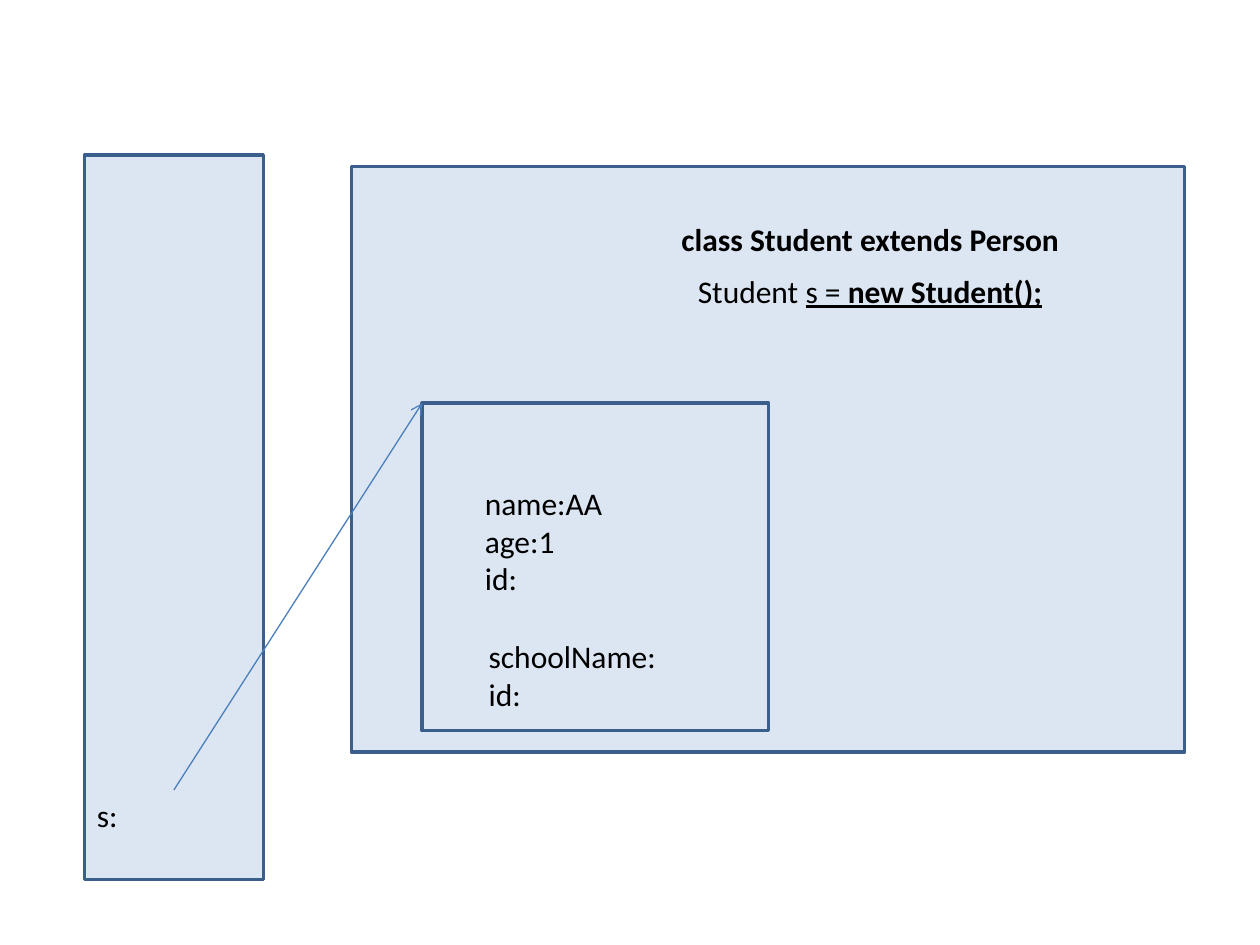
from lxml import etree
from pptx import Presentation
from pptx.dml.color import RGBColor
from pptx.enum.shapes import MSO_CONNECTOR, MSO_SHAPE
from pptx.enum.text import MSO_AUTO_SIZE
from pptx.oxml.ns import qn
from pptx.util import Inches, Pt

RECTANGLE = MSO_SHAPE.RECTANGLE
STRAIGHT = MSO_CONNECTOR.STRAIGHT
FIT_SHAPE = MSO_AUTO_SIZE.SHAPE_TO_FIT_TEXT

PALE_BLUE = RGBColor(0xDC, 0xE6, 0xF2)
DARK_BLUE = RGBColor(0x3A, 0x5F, 0x8C)
ARROW_BLUE = RGBColor(0x4B, 0x7E, 0xBC)
BLACK = RGBColor(0, 0, 0)

SLIDE_WIDTH, SLIDE_HEIGHT = 10, 7.5
STACK_LEFT, STACK_WIDTH = 0.67, 1.42
OBJECT_LEFT, OBJECT_TOP = 3.35, 3.2
VARIABLE_TOP = 6.27


def add_memory_box(slide, left, top, width, height):
    shape = slide.shapes.add_shape(
        RECTANGLE, Inches(left), Inches(top), Inches(width), Inches(height))
    shape.shadow.inherit = False
    shape.fill.solid()
    shape.fill.fore_color.rgb = PALE_BLUE
    shape.line.color.rgb = DARK_BLUE
    shape.line.width = Pt(2)


def add_label(slide, left, top, width, height, lines, wrap=True):
    box = slide.shapes.add_textbox(
        Inches(left), Inches(top), Inches(width), Inches(height))
    frame = box.text_frame
    frame.word_wrap = wrap
    frame.auto_size = FIT_SHAPE
    for index, runs in enumerate(lines):
        paragraph = frame.add_paragraph() if index else frame.paragraphs[0]
        for text, bold, underline in runs:
            run = paragraph.add_run()
            run.text = text
            run.font.name = "Calibri"
            run.font.size = Pt(18)
            run.font.color.rgb = BLACK
            run.font.bold = bold
            run.font.underline = underline


def plain(*texts):
    return [[(text, False, False)] for text in texts]


def add_reference_arrow(slide, start, end):
    connector = slide.shapes.add_connector(
        STRAIGHT, *(Inches(value) for value in (*start, *end)))
    connector.line.color.rgb = ARROW_BLUE
    connector.line.width = Pt(0.75)
    line = connector.line._get_or_add_ln()
    etree.SubElement(line, qn("a:tailEnd"), type="arrow")
    etree.SubElement(connector._element.spPr, qn("a:effectLst"))


def main():
    presentation = Presentation()
    presentation.slide_width = Inches(SLIDE_WIDTH)
    presentation.slide_height = Inches(SLIDE_HEIGHT)
    slide = presentation.slides.add_slide(presentation.slide_layouts[6])

    add_memory_box(slide, STACK_LEFT, 1.23, STACK_WIDTH, 5.75)
    add_memory_box(slide, 2.79, 1.32, 6.61, 4.65)
    add_label(slide, 5.31, 1.7, 3.22, 0.4,
              [[("class Student extends Person", True, False)]], wrap=False)
    add_label(slide, 5.44, 2.11, 2.96, 0.4,
              [[("Student ", False, False), ("s = ", False, True),
                ("new Student();", True, True)]], wrap=False)
    add_label(slide, STACK_LEFT, VARIABLE_TOP, 1.81, 0.4, plain("s:"))

    add_memory_box(slide, OBJECT_LEFT, OBJECT_TOP, 2.75, 2.6)
    add_label(slide, 3.78, 5.01, 2.44, 0.71, plain("schoolName:", "id:"))
    add_label(slide, 3.75, 3.79, 1.94, 1.01, plain("name:AA", "age:1", "id:"))
    add_reference_arrow(slide, (STACK_LEFT + STACK_WIDTH / 2, VARIABLE_TOP),
                        (OBJECT_LEFT, OBJECT_TOP))

    presentation.save("out.pptx")


if __name__ == "__main__":
    main()
